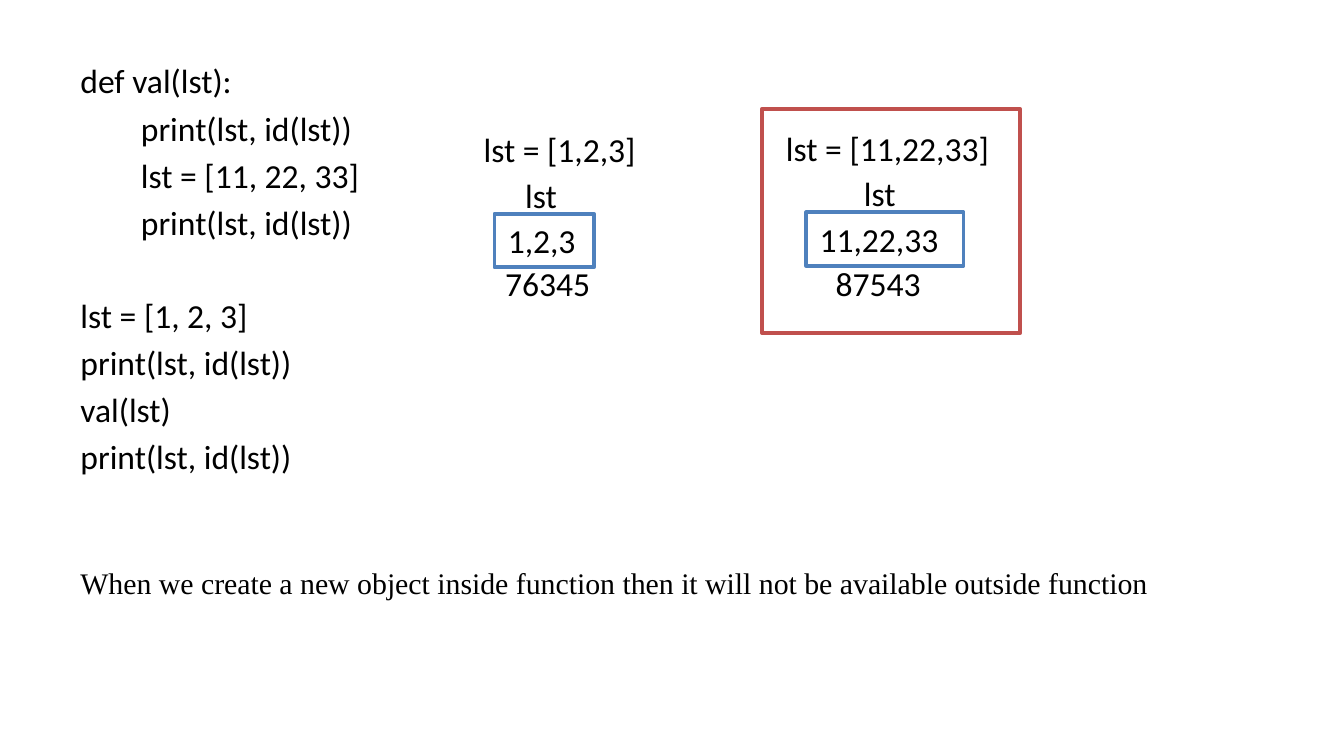
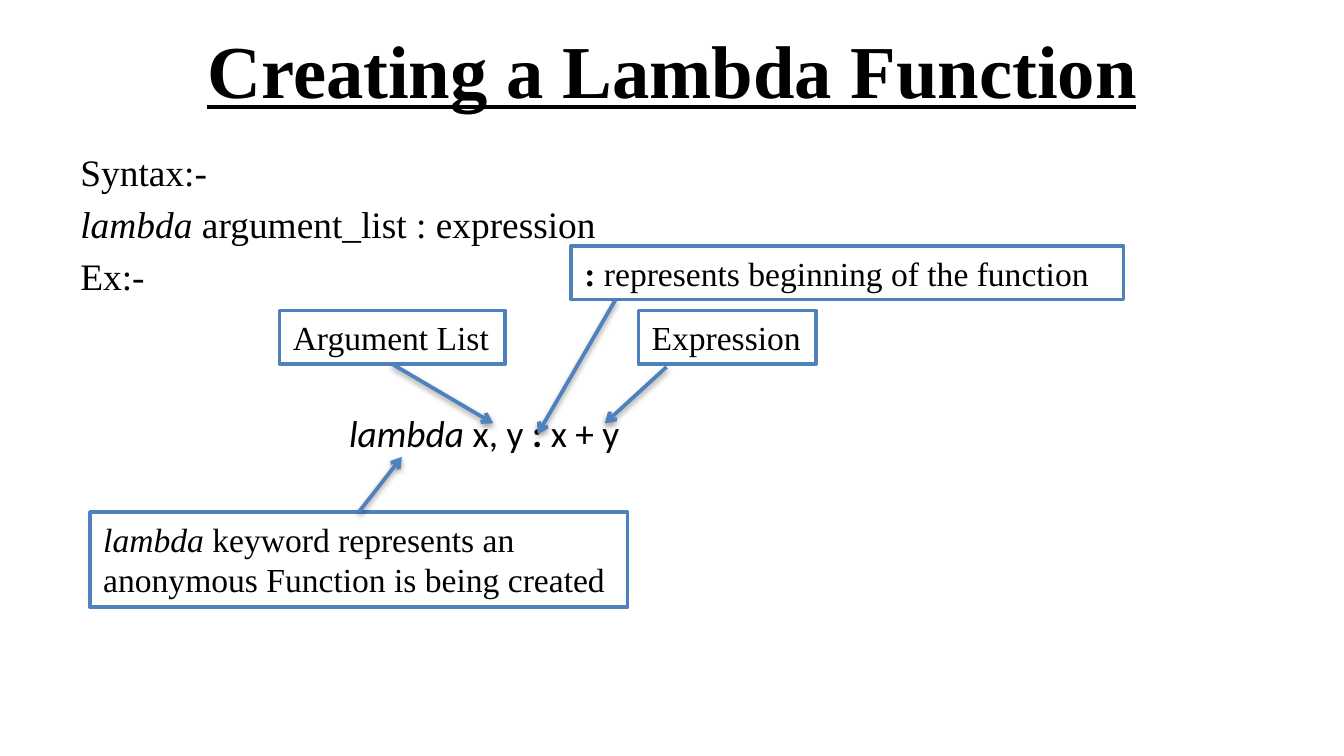
from dataclasses import dataclass
from typing import Optional

from pptx import Presentation
from pptx.dml.color import RGBColor
from pptx.enum.shapes import MSO_CONNECTOR, MSO_SHAPE
from pptx.enum.text import MSO_ANCHOR, MSO_AUTO_SIZE, PP_ALIGN
from pptx.oxml import parse_xml
from pptx.oxml.ns import nsdecls, qn
from pptx.oxml.xmlchemy import OxmlElement
from pptx.shapes.autoshape import Shape
from pptx.slide import Slide
from pptx.text.text import TextFrame
from pptx.util import Pt

PX = 9144
SLIDE_WIDTH = 1000 * PX
SLIDE_HEIGHT = SLIDE_WIDTH * 9 // 16
BLACK = RGBColor(0x00, 0x00, 0x00)
WHITE = RGBColor(0xFF, 0xFF, 0xFF)
BLUE = RGBColor(0x4F, 0x81, 0xBD)
RED = RGBColor(0xC0, 0x50, 0x4D)
SANS = "Calibri"
SERIF = "Times New Roman"
LINE_WIDTH = Pt(2)
BOX_HEIGHT = 40
MARGIN = 50
TITLE_ONLY, BLANK = 5, 6
BOTTOM, TOP = 2, 0


@dataclass(frozen=True)
class Span:
    text: str
    bold: bool = False
    italic: bool = False
    font: Optional[str] = None


@dataclass(frozen=True)
class Paragraph:
    spans: tuple[Span, ...]
    indent: int = 0
    gap: int = 0


@dataclass(frozen=True)
class Area:
    left: int
    top: int
    width: int
    height: int = BOX_HEIGHT

    def emu(self) -> tuple[int, ...]:
        return tuple(v * PX for v in (self.left, self.top, self.width, self.height))


@dataclass(frozen=True)
class ListState:
    values: str
    address: str
    caption: Area
    name: Area
    cell: Area
    address_area: Area


@dataclass(frozen=True)
class Callout:
    spans: tuple[Span, ...]
    area: Area
    start: tuple[int, int]
    target: tuple[int, int]
    joined_side: Optional[int] = None
    wrap: bool = False


def line(text: str, *, indent: int = 0, gap: int = 0) -> Paragraph:
    return Paragraph((Span(text),), indent, gap)


LIST_STATES = (
    ListState("1,2,3", "76345", Area(350, 91, 135), Area(381, 125, 44),
              Area(368, 159, 74), Area(366, 191, 84)),
    ListState("11,22,33", "87543", Area(575, 90, 173), Area(633, 124, 44),
              Area(600, 158, 117), Area(612, 191, 84)),
)
FUNCTION_SCOPE = Area(567, 81, 192, 167)

CODE = (
    line("def val(lst):"),
    line("print(lst, id(lst))", indent=45),
    line("lst = [11, 22, 33]", indent=45),
    line("print(lst, id(lst))", indent=45),
    line("lst = [1, 2, 3]", gap=25),
    line("print(lst, id(lst))"),
    line("val(lst)"),
    line("print(lst, id(lst))"),
)

SYNTAX = (
    line("Syntax:-"),
    Paragraph((Span("lambda ", italic=True), Span("argument_list : expression"))),
    line("Ex:-"),
    Paragraph((Span("lambda ", italic=True, font=SANS), Span("x, y ", font=SANS),
               Span(":", bold=True, font=SANS), Span(" x + y", font=SANS)),
              indent=200, gap=56),
)

CALLOUTS = (
    Callout((Span("lambda", italic=True),
             Span(" keyword represents an anonymous Function is being created")),
            Area(67, 381, 400, 71), (267, 381), (299, 340), TOP, wrap=True),
    Callout((Span("Argument List"),), Area(208, 231, 168), (292, 271), (367, 315), BOTTOM),
    Callout((Span(":", bold=True), Span(" represents beginning of the function")),
            Area(425, 183, 411), (458, 223), (400, 323)),
    Callout((Span("Expression"),), Area(475, 231, 132), (496, 273), (450, 315)),
)


def write(frame: TextFrame, *paragraphs: Paragraph, font: str = SANS, size: int = 18,
          bold: bool = False, underline: bool = False, align: PP_ALIGN = PP_ALIGN.LEFT,
          anchor: MSO_ANCHOR = MSO_ANCHOR.TOP, wrap: bool = False,
          fit: MSO_AUTO_SIZE = MSO_AUTO_SIZE.SHAPE_TO_FIT_TEXT, spacing: float = 0) -> None:
    frame.word_wrap = wrap
    frame.auto_size = fit
    frame.vertical_anchor = anchor
    for index, content in enumerate(paragraphs):
        paragraph = frame.add_paragraph() if index else frame.paragraphs[0]
        paragraph.alignment = align
        paragraph.space_before = Pt(size * spacing + content.gap)
        if content.indent:
            paragraph._p.get_or_add_pPr().set("marL", str(content.indent * PX))
        for span in content.spans:
            run = paragraph.add_run()
            run.text = span.text
            run.font.name = span.font or font
            run.font.size = Pt(size)
            run.font.bold = bold or span.bold
            run.font.italic = span.italic
            run.font.underline = underline
            run.font.color.rgb = BLACK


def add_text(slide: Slide, area: Area, *paragraphs: Paragraph, **text_format) -> None:
    write(slide.shapes.add_textbox(*area.emu()).text_frame, *paragraphs, **text_format)


def add_box(slide: Slide, area: Area, color: RGBColor, *paragraphs: Paragraph,
            **text_format) -> Shape:
    box = slide.shapes.add_shape(MSO_SHAPE.RECTANGLE, *area.emu())
    box.shadow.inherit = False
    box.line.color.rgb = color
    box.line.width = LINE_WIDTH
    if paragraphs:
        box.fill.solid()
        box.fill.fore_color.rgb = WHITE
        write(box.text_frame, *paragraphs, **text_format)
    else:
        box.fill.background()
    return box


def add_callout(slide: Slide, callout: Callout) -> None:
    box = add_box(slide, callout.area, BLUE, Paragraph(callout.spans),
                  font=SERIF, wrap=callout.wrap)
    ends = (v * PX for v in callout.start + callout.target)
    arrow = slide.shapes.add_connector(MSO_CONNECTOR.STRAIGHT, *ends)
    if callout.joined_side is not None:
        arrow.begin_connect(box, callout.joined_side)
    arrow.line.color.rgb = BLUE
    arrow.line.width = LINE_WIDTH
    properties = arrow.element.spPr
    head = OxmlElement("a:tailEnd")
    head.set("type", "arrow")
    properties.find(qn("a:ln")).append(head)
    properties.append(parse_xml(
        f'<a:effectLst {nsdecls("a")}><a:outerShdw blurRad="40000" dist="20000" '
        'dir="5400000" rotWithShape="0"><a:srgbClr val="000000">'
        '<a:alpha val="38000"/></a:srgbClr></a:outerShdw></a:effectLst>'))


def add_list_state(slide: Slide, state: ListState) -> None:
    add_box(slide, state.cell, BLUE, line(state.values), wrap=True)
    add_text(slide, state.address_area, line(state.address))
    add_text(slide, state.name, line("lst"))
    add_text(slide, state.caption, line(f"lst = [{state.values}]"))


def build_scope_slide(slide: Slide) -> None:
    add_text(slide, Area(MARGIN, 40, 275, 371), *CODE, wrap=True,
             fit=MSO_AUTO_SIZE.NONE, spacing=0.2)
    for state in LIST_STATES:
        add_list_state(slide, state)
    add_box(slide, FUNCTION_SCOPE, RED)
    add_text(slide, Area(MARGIN, 415, 837, 37),
             line("When we create a new object inside function then it will not be "
                  "available outside function"), font=SERIF, size=16)


def build_lambda_slide(slide: Slide) -> None:
    title = slide.shapes.title
    title.left, title.top, title.width, title.height = Area(MARGIN, 4, 900, 94).emu()
    write(title.text_frame, line("Creating a Lambda Function"), font=SERIF, size=40,
          bold=True, underline=True, align=PP_ALIGN.CENTER, anchor=MSO_ANCHOR.MIDDLE,
          wrap=True, fit=MSO_AUTO_SIZE.NONE)
    add_text(slide, Area(MARGIN, 106, 900, 392), *SYNTAX, font=SERIF, size=20,
             wrap=True, fit=MSO_AUTO_SIZE.NONE, spacing=0.2)
    for callout in CALLOUTS:
        add_callout(slide, callout)


def main() -> None:
    deck = Presentation()
    deck.slide_width, deck.slide_height = SLIDE_WIDTH, SLIDE_HEIGHT
    build_scope_slide(deck.slides.add_slide(deck.slide_layouts[BLANK]))
    build_lambda_slide(deck.slides.add_slide(deck.slide_layouts[TITLE_ONLY]))
    deck.save("out.pptx")


if __name__ == "__main__":
    main()
